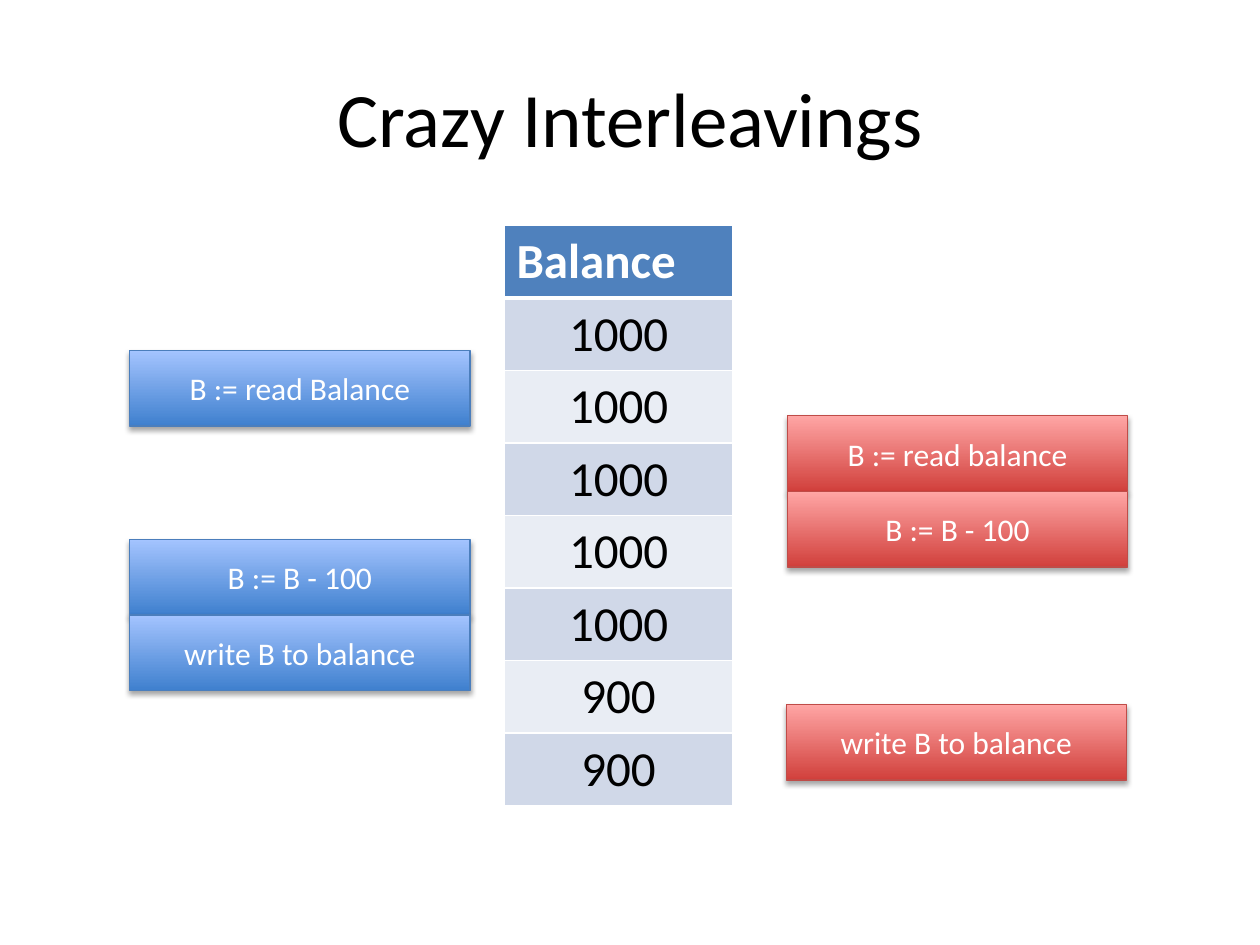
from typing import NamedTuple

from lxml.etree import SubElement
from pptx import Presentation
from pptx.dml.color import RGBColor
from pptx.enum.shapes import MSO_SHAPE
from pptx.enum.text import MSO_ANCHOR, PP_ALIGN
from pptx.oxml.ns import qn
from pptx.util import Pt


class Tone(NamedTuple):
    dark: str
    light: str
    line: str


class Step(NamedTuple):
    text: str
    left: float
    top: float
    tone: Tone


BLUE = Tone("3F80CE", "A4C4FF", "4B7EBC")
RED = Tone("D1403C", "FFA6A5", "BF4C48")
WIDE, HIGH = 194.4, 43.2
ROW = 41.4

STEPS = [
    Step("B := read Balance", 74.2, 200.2, BLUE),
    Step("B := B - 100", 74.2, 308.2, BLUE),
    Step("write B to balance", 74.2, 308.2 + HIGH, BLUE),
    Step("B := read balance", 450, 237.6, RED),
    Step("B := B - 100", 450, 237.6 + HIGH, RED),
    Step("write B to balance", 449.3, 402.5, RED),
]
VALUES = ["1000"] * 5 + ["900"] * 2


def color(code: str) -> RGBColor:
    return RGBColor.from_string(code)


def put_text(frame, text: str, *, size: float, ink: str = "000000",
             bold: bool = False, align=PP_ALIGN.CENTER) -> None:
    para = frame.paragraphs[0]
    para.alignment = align
    run = para.add_run()
    run.text = text
    run.font.name = "Calibri"
    run.font.size = Pt(size)
    run.font.bold = bold
    run.font.color.rgb = color(ink)


def add_hex(node, code: str):
    return SubElement(node, qn("a:srgbClr"), val=code)


def add_shadow(shape) -> None:
    shape.shadow.inherit = False
    effects = shape._element.spPr.find(qn("a:effectLst"))
    drop = SubElement(effects, qn("a:outerShdw"), blurRad=str(Pt(3.1)),
                      dist=str(Pt(1.8)), dir="5400000", rotWithShape="0")
    SubElement(add_hex(drop, "000000"), qn("a:alpha"), val="35000")


def draw_step(slide, step: Step) -> None:
    box = slide.shapes.add_shape(MSO_SHAPE.RECTANGLE, Pt(step.left),
                                 Pt(step.top), Pt(WIDE), Pt(HIGH))
    box.fill.gradient()
    box.fill.gradient_angle = 90
    for stop, code in zip(box.fill.gradient_stops, step.tone[:2]):
        stop.color.rgb = color(code)
    box.line.color.rgb = color(step.tone.line)
    box.line.width = Pt(0.75)
    add_shadow(box)
    box.text_frame.vertical_anchor = MSO_ANCHOR.MIDDLE
    put_text(box.text_frame, step.text, size=18, ink="FFFFFF")


def style_cell(cell, fill: str, top: float, base: float) -> None:
    props = cell._tc.get_or_add_tcPr()
    # Borders come before the fill in the cell's XML
    for side, width in zip("LRTB", (1, 1, top, base)):
        edge = SubElement(props, qn(f"a:ln{side}"), w=str(Pt(width)))
        add_hex(SubElement(edge, qn("a:solidFill")), "FFFFFF")
    cell.fill.solid()
    cell.fill.fore_color.rgb = color(fill)


def draw_table(slide, head: str, values: list[str]) -> None:
    count = len(values) + 1
    table = slide.shapes.add_table(count, 1, Pt(288), Pt(128.9),
                                   Pt(131), Pt(ROW * count)).table
    for row in table.rows:
        row.height = Pt(ROW)
    first = table.cell(0, 0)
    style_cell(first, "4F81BD", 1, 3)
    put_text(first.text_frame, head, size=28, ink="FFFFFF", bold=True,
             align=PP_ALIGN.LEFT)
    for i, value in enumerate(values, 1):
        cell = table.cell(i, 0)
        style_cell(cell, "D0D8E8" if i % 2 else "E9EDF4", 3 if i == 1 else 1, 1)
        put_text(cell.text_frame, value, size=28)


def main() -> None:
    deck = Presentation()
    deck.slide_width, deck.slide_height = Pt(720), Pt(540)
    slide = deck.slides.add_slide(deck.slide_layouts[5])

    # Title
    title = slide.shapes.title
    title.left, title.top = Pt(36), Pt(21.6)
    title.width, title.height = Pt(648), Pt(90)
    title.text_frame.vertical_anchor = MSO_ANCHOR.MIDDLE
    put_text(title.text_frame, "Crazy Interleavings", size=44)

    # Steps of both threads
    for step in STEPS:
        draw_step(slide, step)

    # Balance over time
    draw_table(slide, "Balance", VALUES)
    deck.save("out.pptx")


if __name__ == "__main__":
    main()
